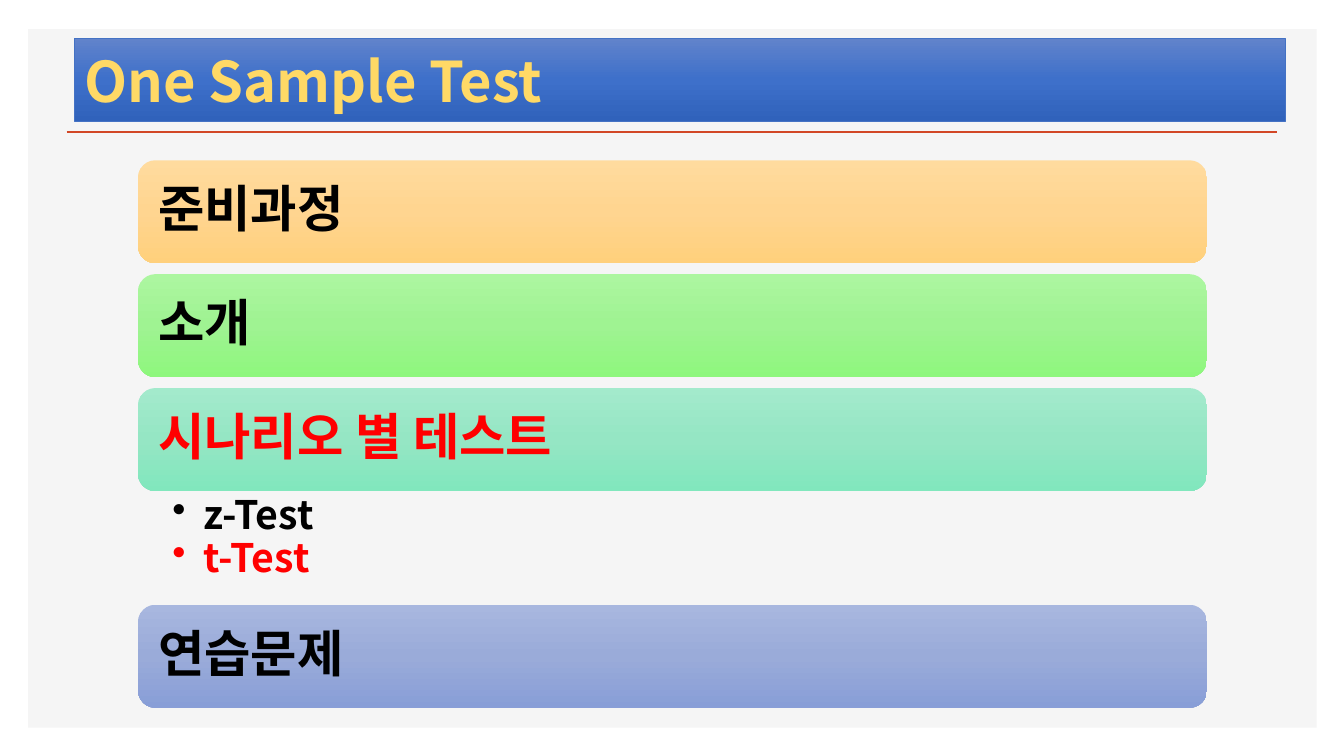
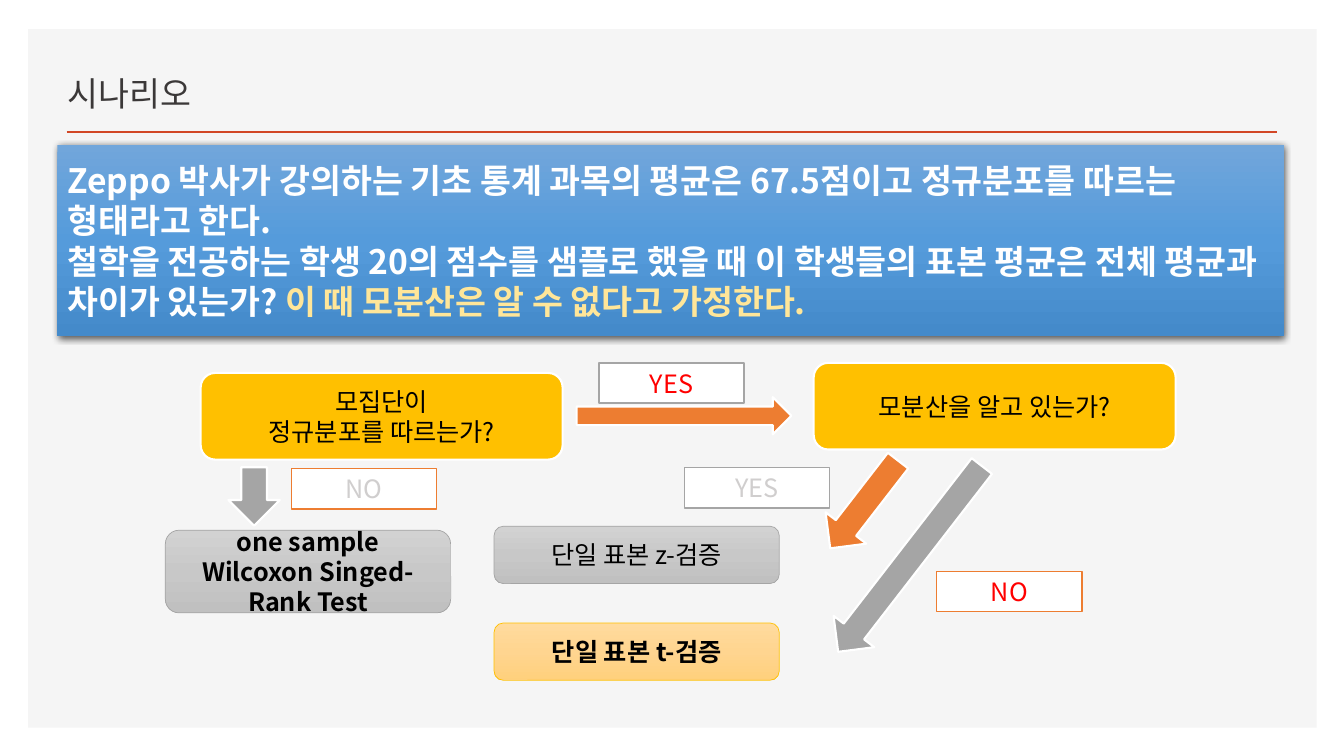
from copy import deepcopy
from dataclasses import dataclass

from lxml.etree import SubElement
from pptx import Presentation
from pptx.dml.color import RGBColor
from pptx.enum.shapes import MSO_CONNECTOR, MSO_SHAPE
from pptx.enum.text import MSO_ANCHOR, PP_ALIGN
from pptx.oxml.ns import qn
from pptx.util import Inches, Pt


@dataclass(frozen=True)
class Theme:
    body_font: str = "Noto Sans CJK KR"
    heading_font: str = "Roboto"

    banner_size: int = 40
    agenda_size: int = 36
    bullet_size: int = 28
    heading_size: int = 24
    flow_size: int = 18

    panel: str = "F5F5F5"
    rule: str = "D24726"
    heading: str = "3B3838"
    white: str = "FFFFFF"
    black: str = "000000"
    red: str = "FF0000"
    muted: str = "D0CECE"
    gold: str = "FFC000"
    orange: str = "ED7D31"
    gray: str = "A5A5A5"
    banner_line: str = "4472C4"
    banner_text: str = "FFD966"
    highlight: str = "FFE699"

    banner_fill: tuple = ("6183CB", "3E70CA", "3062BB")
    scenario_fill: tuple = ("71A6DB", "559BDB", "448ACA")
    amber_fill: tuple = ("FFDB9E", "FFD590", "FFD07C")
    green_fill: tuple = ("ACF6A0", "9FF392", "8EF77D")
    teal_fill: tuple = ("A3EACC", "95E6C4", "81E7BD")
    blue_fill: tuple = ("A8B7DF", "9AABD9", "889ED7")
    gray_fill: tuple = ("D2D2D2", "C8C8C8", "C0C0C0")


THEME = Theme()

# Agenda: text, fill, text colour, bullets as (text, colour)
AGENDA_TITLE = "One Sample Test"
AGENDA = [
    ("준비과정", THEME.amber_fill, THEME.black, []),
    ("소개", THEME.green_fill, THEME.black, []),
    ("시나리오 별 테스트", THEME.teal_fill, THEME.red,
     [("z-Test", THEME.black), ("t-Test", THEME.red)]),
    ("연습문제", THEME.blue_fill, THEME.black, []),
]

# Scenario: paragraphs of (text, colour) runs
SCENARIO_TITLE = "시나리오"
SCENARIO = [
    [("Zeppo 박사가 강의하는 기초 통계 과목의 평균은 67.5점이고 "
      "정규분포를 따르는 형태라고 한다.", THEME.white)],
    [("철학을 전공하는 학생 20의 점수를 샘플로 했을 때 이 학생들의 "
      "표본 평균은 전체 평균과 차이가 있는가? ", THEME.white),
     ("이 때 모분산은 알 수 없다고 가정한다.", THEME.highlight)],
]

# Flow chart: lines, left, top
QUESTION_SIZE = (3.59, 0.86)
QUESTIONS = [
    (["모집단이", "정규분포를 따르는가?"], 1.99, 3.7),
    (["모분산을 알고 있는가?"], 8.07, 3.6),
]
# text, left, top, height, fill, line, bold
RESULT_WIDTH = 2.83
RESULTS = [
    ("one sample Wilcoxon Singed-Rank Test", 1.64, 5.26, 0.82,
     THEME.gray_fill, THEME.gray, True),
    ("단일 표본 z-검증", 4.9, 5.22, 0.57, THEME.gray_fill, THEME.gray, False),
    ("단일 표본 t-검증", 4.9, 6.18, 0.57, THEME.amber_fill, THEME.gold, True),
]
# left, top, width, height, rotation, fill
ARROWS = [
    (5.72, 3.94, 2.13, 0.37, 0, THEME.orange),
    (8.02, 4.75, 1.1, 0.51, 127.7, THEME.orange),
    (7.86, 5.29, 2.33, 0.51, 127.7, THEME.gray),
    (2.23, 4.67, 0.58, 0.51, 90, THEME.gray),
]
# text, left, top, line, text colour
ANSWER_SIZE = (1.44, 0.4)
ANSWERS = [
    ("YES", 5.94, 3.6, THEME.gray, THEME.red),
    ("YES", 6.79, 4.64, THEME.gray, THEME.muted),
    ("NO", 9.29, 5.67, THEME.orange, THEME.red),
    ("NO", 2.89, 4.65, THEME.orange, THEME.muted),
]


def color(value):
    return RGBColor.from_string(value)


def set_fill(shape, fill):
    """Fill with one colour, or with a vertical gradient of three colours."""
    if isinstance(fill, str):
        shape.fill.solid()
        shape.fill.fore_color.rgb = color(fill)
        return
    shape.fill.gradient()
    shape.fill.gradient_angle = 270
    stop_list = shape.element.spPr.find(".//" + qn("a:gsLst"))
    stop_list.insert(1, deepcopy(stop_list[0]))
    for stop, value, position in zip(shape.fill.gradient_stops, fill, (0, 0.5, 1)):
        stop.color.rgb = color(value)
        stop.position = position


def add_box(slide, kind, box, fill, line=None, line_width=1.0):
    shape = slide.shapes.add_shape(kind, *map(Inches, box))
    shape.shadow.inherit = False
    set_fill(shape, fill)
    if line:
        shape.line.color.rgb = color(line)
        shape.line.width = Pt(line_width)
    else:
        shape.line.fill.background()
    return shape


def write(shape, paragraphs, size, bold=False, align=PP_ALIGN.LEFT,
          anchor=MSO_ANCHOR.MIDDLE, font=THEME.body_font, spacing=None):
    """Write paragraphs, each a list of (text, colour) runs."""
    frame = shape.text_frame
    frame.word_wrap = True
    frame.vertical_anchor = anchor
    for index, runs in enumerate(paragraphs):
        paragraph = frame.add_paragraph() if index else frame.paragraphs[0]
        paragraph.alignment = align
        if spacing:
            paragraph.line_spacing = spacing
        for text, text_color in runs:
            run = paragraph.add_run()
            run.text = text
            run.font.size = Pt(size)
            run.font.bold = bold
            run.font.color.rgb = color(text_color)
            run.font.name = font
            east_asian = SubElement(run.font._element, qn("a:ea"))
            east_asian.set("typeface", font)


def write_centered(shape, lines, text_color=THEME.black, bold=False):
    write(shape, [[(line, text_color)] for line in lines], THEME.flow_size,
          bold, PP_ALIGN.CENTER)


def add_bullets(paragraph, indent):
    properties = paragraph._p.get_or_add_pPr()
    properties.set("marL", str(Inches(indent)))
    properties.set("indent", str(-Inches(indent)))
    SubElement(properties, qn("a:buChar")).set("char", "•")


def add_soft_shadow(shape):
    effects = shape.element.spPr.find(qn("a:effectLst"))
    shadow = SubElement(effects, qn("a:outerShdw"), blurRad=str(Pt(4.5)),
                        dist=str(Pt(1.5)), dir="5400000", rotWithShape="0")
    shadow_color = SubElement(shadow, qn("a:srgbClr"), val=THEME.black)
    SubElement(shadow_color, qn("a:alpha"), val="63000")


def add_framed_slide(presentation):
    """Add a slide with the gray panel and the rule under its title."""
    slide = presentation.slides.add_slide(presentation.slide_layouts[6])
    add_box(slide, MSO_SHAPE.RECTANGLE, (0.28, 0.29, 12.78, 6.93), THEME.panel)
    rule = slide.shapes.add_connector(
        MSO_CONNECTOR.STRAIGHT, *map(Inches, (0.66, 1.31, 12.67, 1.31)))
    rule.line.color.rgb = color(THEME.rule)
    rule.line.width = Pt(2)
    SubElement(rule._element.spPr, qn("a:effectLst"))
    return slide


def build_agenda(presentation):
    slide = add_framed_slide(presentation)
    banner = add_box(slide, MSO_SHAPE.RECTANGLE, (0.74, 0.38, 12.01, 0.82),
                     THEME.banner_fill, THEME.banner_line, 0.5)
    write(banner, [[(AGENDA_TITLE, THEME.banner_text)]], THEME.banner_size, True)

    left, top, width = 1.37, 1.59, 10.6
    bar_height, gap, bullets_height = 1.02, 0.11, 1.13
    for text, fill, text_color, bullets in AGENDA:
        bar = add_box(slide, MSO_SHAPE.ROUNDED_RECTANGLE,
                      (left, top, width, bar_height), fill)
        bar.text_frame.margin_left = Inches(0.15)
        write(bar, [[(text, text_color)]], THEME.agenda_size, True, spacing=0.9)
        top += bar_height
        if not bullets:
            top += gap
            continue
        box = slide.shapes.add_textbox(
            *map(Inches, (left, top, width, bullets_height)))
        box.text_frame.margin_left = Inches(0.34)
        write(box, [[bullet] for bullet in bullets], THEME.bullet_size, True,
              anchor=MSO_ANCHOR.TOP, spacing=0.9)
        for paragraph in box.text_frame.paragraphs:
            add_bullets(paragraph, 0.31)
        top += bullets_height


def build_scenario(presentation):
    slide = add_framed_slide(presentation)
    heading = slide.shapes.add_textbox(*map(Inches, (0.57, 0.48, 8.93, 0.7)))
    write(heading, [[(SCENARIO_TITLE, THEME.heading)]], THEME.heading_size,
          anchor=MSO_ANCHOR.BOTTOM, font=THEME.heading_font, spacing=0.9)

    scenario = add_box(slide, MSO_SHAPE.RECTANGLE, (0.57, 1.44, 12.17, 1.89),
                       THEME.scenario_fill)
    add_soft_shadow(scenario)
    write(scenario, SCENARIO, THEME.heading_size, True)

    for lines, left, top in QUESTIONS:
        question = add_box(slide, MSO_SHAPE.FLOWCHART_ALTERNATE_PROCESS,
                           (left, top, *QUESTION_SIZE), THEME.gold, THEME.white, 1.5)
        write_centered(question, lines)
    for text, left, top, height, fill, line, bold in RESULTS:
        result = add_box(slide, MSO_SHAPE.FLOWCHART_ALTERNATE_PROCESS,
                         (left, top, RESULT_WIDTH, height), fill, line, 0.5)
        write_centered(result, [text], bold=bold)
    for *box, rotation, fill in ARROWS:
        arrow = add_box(slide, MSO_SHAPE.RIGHT_ARROW, box, fill, THEME.white, 1.5)
        arrow.rotation = rotation
    for text, left, top, line, text_color in ANSWERS:
        answer = add_box(slide, MSO_SHAPE.RECTANGLE, (left, top, *ANSWER_SIZE),
                         THEME.white, line)
        write_centered(answer, [text], text_color)


def main():
    presentation = Presentation()
    presentation.slide_width = Inches(13.33)
    presentation.slide_height = Inches(7.5)
    build_agenda(presentation)
    build_scenario(presentation)
    presentation.save("out.pptx")


if __name__ == "__main__":
    main()
